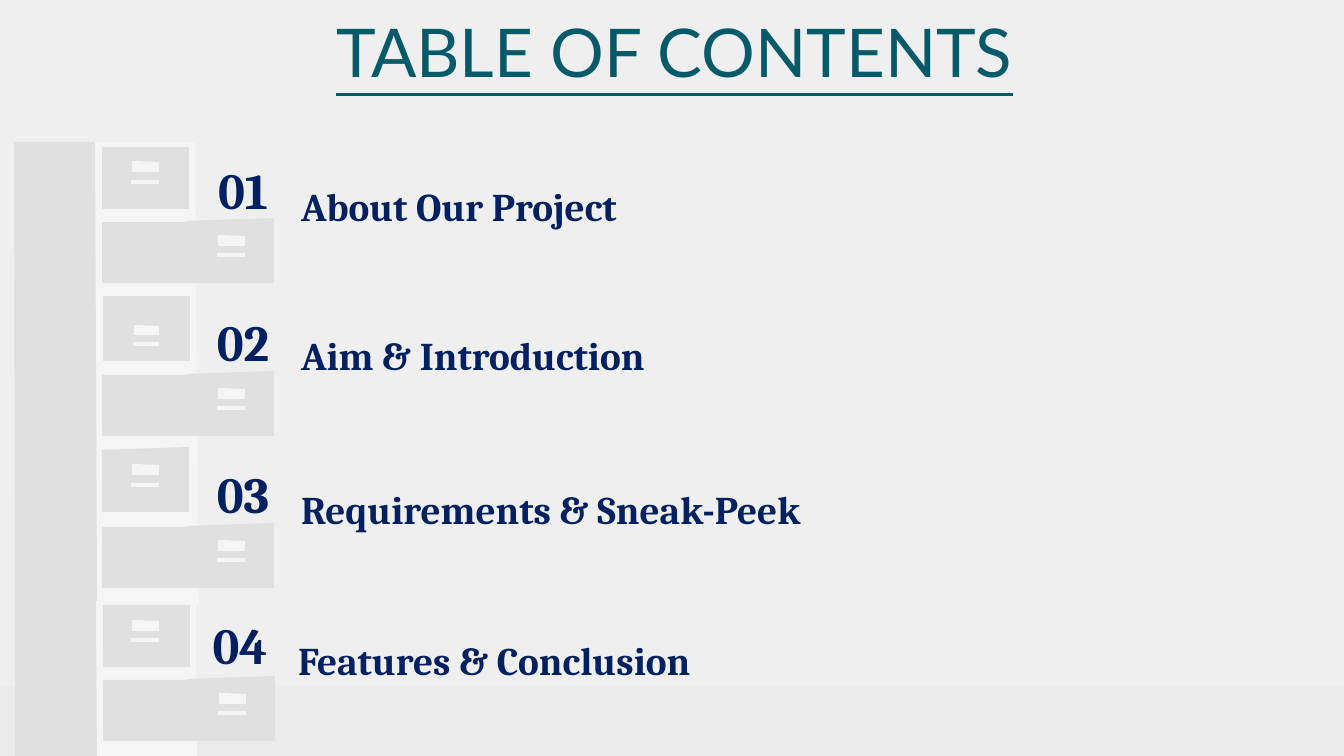
from pptx import Presentation
from pptx.dml.color import RGBColor
from pptx.enum import shapes, text
from pptx.util import Inches, Pt

PX = Inches(10) / 1344
WIDE, HIGH = 1344, 756
PAD = 13


def emu(n):
    return round(n * PX)


def tint(code):
    return RGBColor.from_string(code)


def write(frame, words, font="Cambria", size=21, color="002060", bold=True,
          under=False, align=text.PP_ALIGN.LEFT):
    para = frame.paragraphs[0]
    para.alignment = align
    run = para.add_run()
    run.text = words
    style = run.font
    style.name, style.size = font, Pt(size)
    style.bold, style.underline = bold, under
    style.color.rgb = tint(color)


class Deck:
    back, band, pale, grey, teal = "EFEFEF", "EBEBEB", "F5F5F5", "E0E0E0", "045A68"

    def __init__(self, prs):
        self.slide = prs.slides.add_slide(prs.slide_layouts[6])
        fill = self.slide.background.fill
        fill.solid()
        fill.fore_color.rgb = tint(self.back)

    def paint(self, shape, color):
        shape.shadow.inherit = False
        shape.fill.solid()
        shape.fill.fore_color.rgb = tint(color)
        shape.line.fill.background()

    def rect(self, x, y, w, h, color):
        shape = self.slide.shapes.add_shape(
            shapes.MSO_SHAPE.RECTANGLE, emu(x), emu(y), emu(w), emu(h))
        self.paint(shape, color)

    def poly(self, points, color):
        pen = self.slide.shapes.build_freeform(*points[0], scale=PX)
        pen.add_line_segments(points[1:], close=True)
        self.paint(pen.convert_to_shape(), color)

    def box(self, x, y, w, h, words, anchor=text.MSO_ANCHOR.TOP, **style):
        frame = self.slide.shapes.add_textbox(
            emu(x), emu(y), emu(w), emu(h)).text_frame
        frame.word_wrap = True
        frame.vertical_anchor = anchor
        frame.margin_left = frame.margin_right = emu(PAD)
        frame.margin_top = frame.margin_bottom = emu(PAD)
        write(frame, words, **style)

    def column(self, left, top, low, foot, inner, outer):
        """Cabinet side over its pale front, each widening downward."""
        for (high, base), color in ((outer, self.pale), (inner, self.grey)):
            self.poly([(left, top), (foot, low), (base, low), (high, top)], color)

    def pull(self, x, y, gap=19, w=27, h=11, bar=4):
        """Label holder with a thin handle below it."""
        self.poly([(x, y), (x, y + h), (x + w, y + h), (x + w, y + 1)], self.pale)
        self.rect(x - 1, y + gap, w + 1, bar, self.pale)

    def front(self, x, y, h, slant=0):
        self.poly([(x + 87, y), (x, y + slant), (x, y + h), (x + 87, y + h)],
                  self.grey)

    def drawer(self, x, y):
        """Open drawer: body, slanted front and pull."""
        self.rect(x, y + 4, 86, 61, self.grey)
        self.front(x + 85, y, 65, 3)
        self.pull(x + 116, y + 17, 18)


def main():
    prs = Presentation()
    prs.slide_width, prs.slide_height = emu(WIDE), emu(HIGH)
    deck = Deck(prs)
    mid = text.PP_ALIGN.CENTER

    # Floor band and heading
    deck.rect(0, 687, WIDE, HIGH - 687, deck.band)
    deck.box(108, 27, 1133, 47, "TABLE OF CONTENTS", text.MSO_ANCHOR.MIDDLE,
             font="Lato", size=36, color=deck.teal, bold=False, under=True,
             align=mid)

    # Cabinets
    deck.column(14, 142, 605, 15, (95, 97), (195, 199))
    deck.column(15, 601, HIGH, 15, (96, 97), (196, 197))

    # Closed drawers: x, y, height, slant, then the pull
    closed = [
        (102, 147, 62, 0, (132, 161)),
        (103, 296, 65, 0, (134, 325, 17, 25, 10, 4)),
        (102, 447, 65, 3, (132, 464)),
        (103, 605, 62, 0, (132, 620, 18)),
    ]
    for x, y, h, slant, grip in closed:
        deck.front(x, y, h, slant)
        deck.pull(*grip)

    # Open drawers
    for x, y in ((102, 218), (102, 371), (102, 523), (103, 676)):
        deck.drawer(x, y)

    # Entries: shift, number top, title top, title width, title
    items = [
        (0, 146, 147, 384, "About Our Project"),
        (0, 298, 296, 457, "Aim & Introduction"),
        (0, 450, 450, 575, "Requirements & Sneak-Peek"),
        (-3, 601, 601, 575, "Features & Conclusion"),
    ]
    for i, (dx, top, y, w, words) in enumerate(items, 1):
        deck.box(190 + dx, top, 106, 121, f"{i:02}", size=27, align=mid)
        deck.box(288 + dx, y, w, 95, words, text.MSO_ANCHOR.BOTTOM)

    prs.save("out.pptx")


if __name__ == "__main__":
    main()
